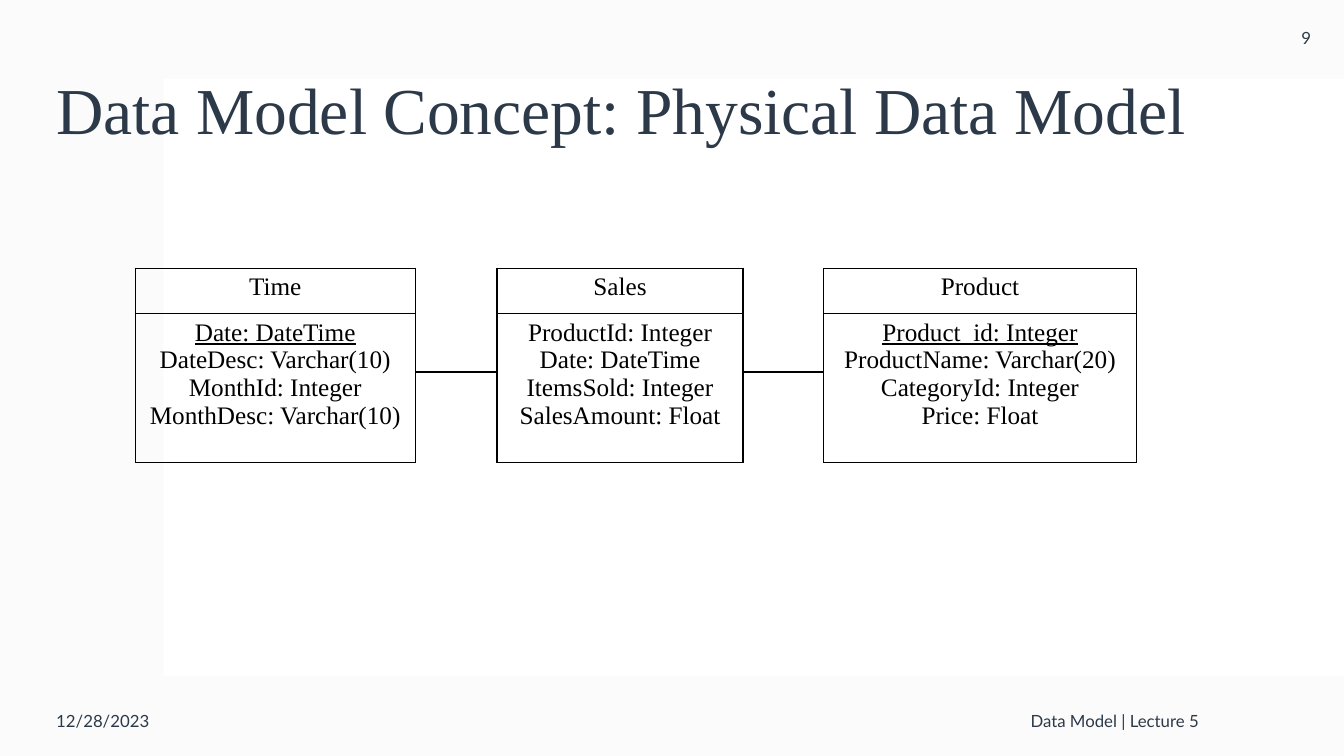
from dataclasses import dataclass

from lxml import etree
from pptx import Presentation
from pptx.dml.color import RGBColor
from pptx.enum.shapes import MSO_CONNECTOR, MSO_SHAPE
from pptx.enum.text import MSO_ANCHOR, PP_ALIGN
from pptx.oxml.ns import qn
from pptx.util import Pt

RECTANGLE = MSO_SHAPE.RECTANGLE
STRAIGHT = MSO_CONNECTOR.STRAIGHT
MIDDLE = MSO_ANCHOR.MIDDLE
LEFT, CENTER, RIGHT = PP_ALIGN.LEFT, PP_ALIGN.CENTER, PP_ALIGN.RIGHT
EMU_PER_PX = 9144


@dataclass(frozen=True)
class Theme:
    """Colours, fonts and type sizes of the deck."""

    ink: str = "2C3948"
    black: str = "000000"
    white: str = "FFFFFF"
    veil: str = "F4F4F4"
    veil_alpha: int = 35
    serif: str = "Times New Roman"
    sans: str = "Lato"
    title: float = 46.8
    entity: float = 18
    small: float = 12
    border: float = 1
    link: float = 1.5


THEME = Theme()
SLIDE_SIZE = (1333, 750)
TITLE = "Data Model Concept: Physical Data Model"
FOOTERS = [
    ("12/28/2023", (46, 680, 300, 70), LEFT),
    ("Data Model | Lecture 5", (412, 680, 787, 70), RIGHT),
    ("9", (1258, 0, 75, 75), CENTER),
]
ENTITY_TOP = 266
ROW_HEIGHTS = (45, 148)
LINK_Y = 369
ENTITIES = [
    ("Time", 134, 278, True,
     ["Date: DateTime", "DateDesc: Varchar(10)", "MonthId: Integer", "MonthDesc: Varchar(10)"]),
    ("Sales", 493, 244, False,
     ["ProductId: Integer", "Date: DateTime", "ItemsSold: Integer", "SalesAmount: Float"]),
    ("Product", 817, 310, True,
     ["Product_id: Integer", "ProductName: Varchar(20)", "CategoryId: Integer", "Price: Float"]),
]


def px(*lengths):
    """Turn pixel lengths into a list of EMU."""
    return [length * EMU_PER_PX for length in lengths]


def write_para(para, text, color, align=LEFT, **font_format):
    """Write one formatted run into a paragraph."""
    para.alignment = align
    span = para.add_run()
    span.text = text
    for name, value in font_format.items():
        setattr(span.font, name, value)
    span.font.color.rgb = RGBColor.from_string(color)


def add_label(slide, box, text, size, font, align=LEFT, line_spacing=None):
    """Add one vertically centred line of text in a box."""
    frame = slide.shapes.add_textbox(*px(*box)).text_frame
    frame.word_wrap = True
    frame.vertical_anchor = MIDDLE
    para = frame.paragraphs[0]
    para.line_spacing = line_spacing
    write_para(para, text, THEME.ink, align, size=Pt(size), name=font)


def add_panel(slide, box, color, alpha=None):
    """Add a plain filled rectangle, optionally see-through."""
    panel = slide.shapes.add_shape(RECTANGLE, *px(*box))
    panel.shadow.inherit = False
    panel.fill.solid()
    panel.fill.fore_color.rgb = RGBColor.from_string(color)
    panel.line.fill.background()
    if alpha is not None:
        tint = next(panel.element.spPr.iter(qn("a:srgbClr")))
        etree.SubElement(tint, qn("a:alpha"), val=str(alpha * 1000))


def add_backdrop(slide, box):
    """Draw the pale veil and the white content area within the box."""
    left, top, width, height = box
    add_panel(slide, box, THEME.veil, THEME.veil_alpha)
    add_panel(slide, (left + 162, top + 78, width - 162, height - 157), THEME.white)


def outline_cell(cell):
    """Give a cell four thin borders and no fill."""
    properties = cell._tc.get_or_add_tcPr()
    for side in ("lnL", "lnR", "lnT", "lnB"):
        border = etree.SubElement(properties, qn(f"a:{side}"), w=str(Pt(THEME.border)))
        fill = etree.SubElement(border, qn("a:solidFill"))
        etree.SubElement(fill, qn("a:srgbClr"), val=THEME.black)
    cell.fill.background()


def add_entity(slide, box, name, fields, keyed):
    """Add an entity table with a name row and a row of fields."""
    table = slide.shapes.add_table(2, 1, *px(*box)).table
    table.first_row = table.horz_banding = False
    contents = ([name], fields)
    for index, (height, lines) in enumerate(zip(px(*ROW_HEIGHTS), contents)):
        table.rows[index].height = height
        cell = table.cell(index, 0)
        outline_cell(cell)
        frame = cell.text_frame
        for number, line in enumerate(lines):
            para = frame.add_paragraph() if number else frame.paragraphs[0]
            is_key = keyed and index == 1 and number == 0
            write_para(para, line, THEME.black, CENTER, size=Pt(THEME.entity),
                       name=THEME.serif, bold=False, underline=is_key)


def add_link(slide, start, end, y):
    """Draw a horizontal relationship line between two entities."""
    link = slide.shapes.add_connector(STRAIGHT, *px(start, y, end, y))
    link.line.color.rgb = RGBColor.from_string(THEME.black)
    link.line.width = Pt(THEME.link)
    etree.SubElement(link.element.spPr, qn("a:effectLst"))


def add_data_model(slide, top):
    """Place the entity tables and link each one to the next."""
    for name, left, width, keyed, fields in ENTITIES:
        add_entity(slide, (left, top, width, sum(ROW_HEIGHTS)), name, fields, keyed)
    for (_, left, width, *_), (_, next_left, *_) in zip(ENTITIES, ENTITIES[1:]):
        add_link(slide, left + width, next_left, LINK_Y)


def main():
    """Build and save the deck."""
    deck = Presentation()
    deck.slide_width, deck.slide_height = px(*SLIDE_SIZE)
    slide = deck.slides.add_slide(deck.slide_layouts[6])
    add_backdrop(slide, (0, 0, *SLIDE_SIZE))
    add_label(slide, (46, 40, 1153, 145), TITLE, THEME.title, THEME.serif, line_spacing=0.9)
    for text, box, align in FOOTERS:
        add_label(slide, box, text, THEME.small, THEME.sans, align)
    add_data_model(slide, ENTITY_TOP)
    deck.save("out.pptx")


if __name__ == "__main__":
    main()
